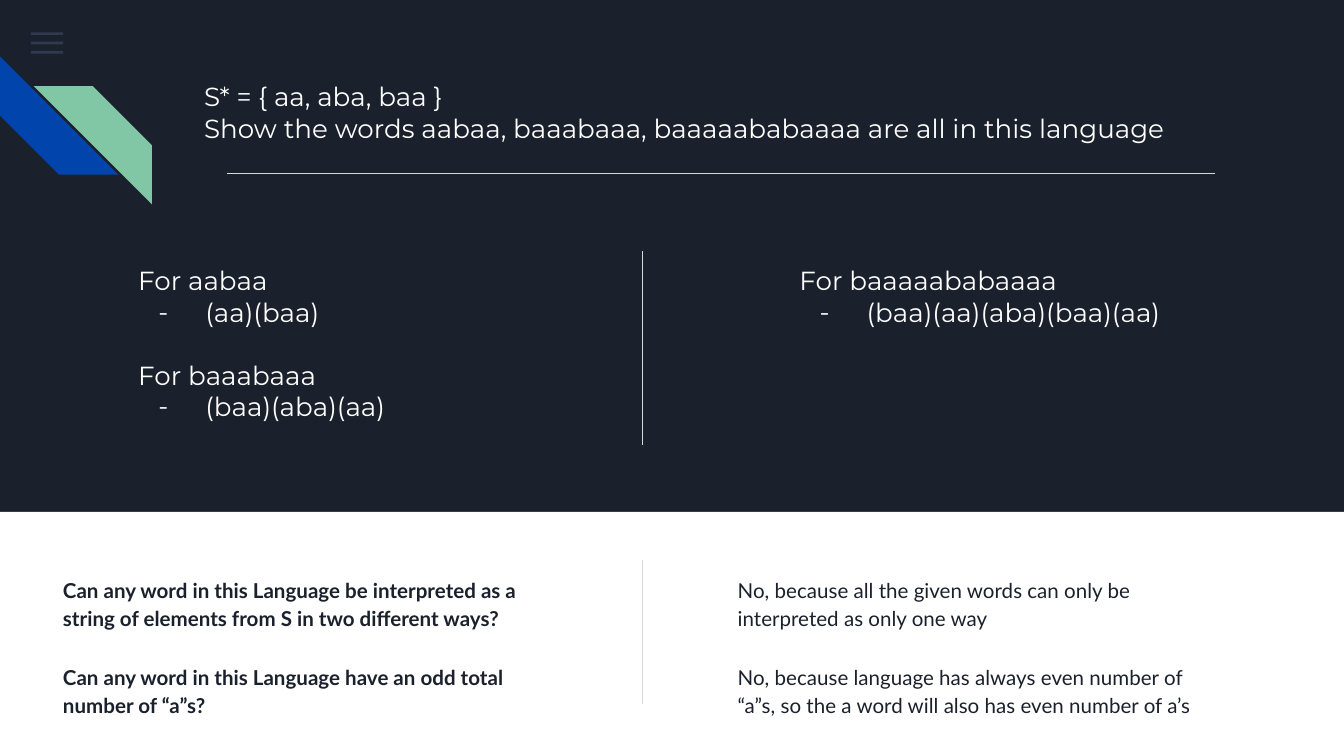
from lxml import etree
from pptx import Presentation
from pptx import util as u
from pptx.dml.color import RGBColor
from pptx.enum import shapes, text
from pptx.oxml.ns import qn

# Grid: 100 columns by 56.25 rows, each a tenth of an inch
COLUMNS, ROWS = 100, 56.25
NAVY, WHITE, GREY = "1B212C", "FFFFFF", "D9D9D9"
BLUE, GREEN, SLATE = "0145AC", "82C7A5", "55688B"
RECTANGLE = shapes.MSO_SHAPE.RECTANGLE
STRIPE = shapes.MSO_SHAPE.DIAGONAL_STRIPE


def grid(*units):
    return [u.Inches(unit / 10) for unit in units]


def paint(color_format, color):
    color_format.rgb = RGBColor.from_string(color)


def add_block(page, kind, place, color, alpha=None, rotation=0):
    block = page.shapes.add_shape(kind, *grid(*place))
    block.shadow.inherit = False
    block.fill.solid()
    paint(block.fill.fore_color, color)
    block.line.fill.background()
    block.rotation = rotation
    if alpha is not None:
        tint = block.fill._xPr.find(qn("a:solidFill"))[0]
        etree.SubElement(tint, qn("a:alpha"), val=str(alpha * 1000))
    return block


def add_rule(page, start, end):
    rule = page.shapes.add_connector(
        shapes.MSO_CONNECTOR.STRAIGHT, *grid(*start, *end))
    paint(rule.line.color, GREY)
    rule.line.width = u.Pt(0.75)
    etree.SubElement(rule._element.spPr, qn("a:effectLst"))


def add_dash(para):
    properties = para._p.get_or_add_pPr()
    properties.set("marL", str(u.Inches(0.5)))
    properties.set("indent", str(u.Inches(-0.35)))
    tint = etree.SubElement(properties, qn("a:buClr"))
    etree.SubElement(tint, qn("a:srgbClr"), val=WHITE)
    etree.SubElement(properties, qn("a:buFont"), typeface="Montserrat")
    etree.SubElement(properties, qn("a:buChar"), char="-")


def add_text(page, place, lines, font, size, color, bold=False, spacing=1.0):
    """Write one paragraph a line; a line that opens with "- " is a bullet."""
    box = page.shapes.add_textbox(*grid(*place))
    frame = box.text_frame
    frame.word_wrap = True
    frame.vertical_anchor = text.MSO_ANCHOR.TOP
    frame.margin_left = frame.margin_right = u.Inches(0.1)
    frame.margin_top = frame.margin_bottom = u.Inches(0.1)
    paras = []
    for line in lines:
        para = frame.paragraphs[0] if not paras else frame.add_paragraph()
        para.text = line.removeprefix("- ")
        para.line_spacing = spacing
        if line.startswith("- "):
            add_dash(para)
        para.font.name, para.font.size = font, u.Pt(size)
        para.font.bold = bold
        paint(para.font.color, color)
        paras.append(para)
    return paras


def add_heading(page, place, lines):
    return add_text(page, place, lines, "Montserrat", 14, WHITE)


def add_decoration(page):
    add_block(page, RECTANGLE, (0, 38.1, COLUMNS, ROWS - 38.1), WHITE)
    for bar in range(3):
        add_block(page, RECTANGLE, (2.3, 2.4 + 0.7 * bar, 2.4, 0.2),
                  SLATE, alpha=36)
    add_block(page, STRIPE, (0, 4.2, 8.8, 8.8), BLUE, rotation=270)
    add_block(page, STRIPE, (2.5, 6.4, 8.8, 8.8), GREEN, rotation=90)


def add_questions(page):
    pairs = [
        ("Can any word in this Language be interpreted as a string of "
         "elements from S in two different ways?",
         "No, because all the given words can only be interpreted as only "
         "one way"),
        ("Can any word in this Language have an odd total number of “a”s?",
         "No, because language has always even number of “a”s, so the a "
         "word will also has even number of a’s"),
    ]
    for row, pair in enumerate(pairs):
        for left, words, bold in zip((3.7, 53.9), pair, (True, False)):
            add_text(page, (left, 41.7 + 6.5 * row, 36.5, 6.2), [words],
                     "Lato", 11, NAVY, bold, spacing=1.15)


def main():
    deck = Presentation()
    deck.slide_width, deck.slide_height = grid(COLUMNS, ROWS)
    page = deck.slides.add_slide(deck.slide_layouts[6])
    page.background.fill.solid()
    paint(page.background.fill.fore_color, NAVY)
    add_decoration(page)

    # Problem statement
    add_heading(page, (14.2, 5, 79.1, 5.6), [
        "S* = { aa, aba, baa }",
        "Show the words aabaa, baaabaaa, baaaaababaaaa are all in this "
        "language"])

    # Factored words, with a line's gap between the two on the left
    words = add_heading(page, (9.3, 18.7, 36.5, 16.1), [
        "For aabaa", "- (aa)(baa)", "For baaabaaa", "- (baa)(aba)(aa)"])
    words[2].space_before = u.Pt(17)
    add_heading(page, (58.5, 18.7, 36.5, 16.1), [
        "For baaaaababaaaa", "- (baa)(aa)(aba)(baa)(aa)"])

    # Questions on the left, answers on the right
    add_questions(page)

    # Dividers
    add_rule(page, (16.9, 12.9), (90.4, 12.9))
    add_rule(page, (47.8, 18.7), (47.8, 33.1))
    add_rule(page, (47.8, 41.7), (47.8, 52.4))

    deck.save("out.pptx")


if __name__ == "__main__":
    main()
